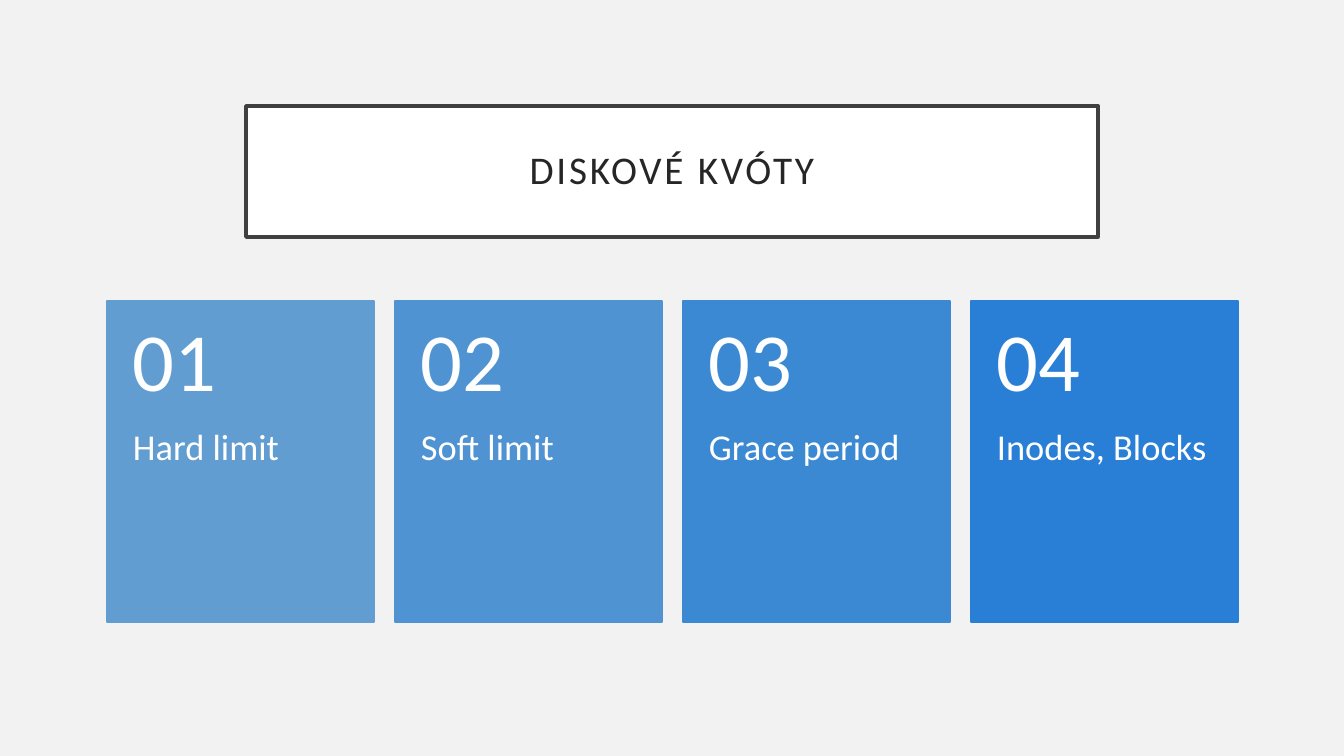
import pptx
import pptx.util
import pptx.dml.color
import pptx.enum.shapes
import pptx.enum.text

ANCHOR = pptx.enum.text.MSO_ANCHOR
ALIGN = pptx.enum.text.PP_ALIGN
COLORS = {
    "back": "F2F2F2", "white": "FFFFFF", "frame": "404040", "title": "262626",
    "hard": "629DD1", "soft": "5093D2", "grace": "3C89D3", "inodes": "297FD5",
}


def px(count):
    return pptx.util.Emu(round(count * 914400 / 100.8))


def color(name):
    return pptx.dml.color.RGBColor.from_string(COLORS[name])


class Board:
    """Draws styled boxes and text on one slide, with lengths in px."""

    def __init__(self, deck, font):
        self.font = font
        self.slide = deck.slides.add_slide(deck.slide_layouts[6])
        fill = self.slide.background.fill
        fill.solid()
        fill.fore_color.rgb = color("back")

    def box(self, area, fill, line, width):
        kind = pptx.enum.shapes.MSO_SHAPE.RECTANGLE
        shape = self.slide.shapes.add_shape(kind, *map(px, area))
        shape.shadow.inherit = False
        shape.fill.solid()
        shape.fill.fore_color.rgb = color(fill)
        shape.line.color.rgb = color(line)
        shape.line.width = pptx.util.Pt(width)
        return shape

    def label(self, area, words, size, pads, anchor):
        shape = self.slide.shapes.add_textbox(*map(px, area))
        self.letter(shape, words, size, "white", pads, anchor, ALIGN.LEFT)

    def letter(self, shape, words, size, ink, pads, anchor, align):
        frame = shape.text_frame
        sides = ("margin_left", "margin_top", "margin_right", "margin_bottom")
        style = dict(zip(sides, map(px, pads)))
        style.update(word_wrap=True, vertical_anchor=anchor)
        para = frame.paragraphs[0]
        run = para.add_run()
        run.text = words
        run.font.color.rgb = color(ink)
        formats = (
            (frame, style),
            (para, {"alignment": align, "line_spacing": 0.9}),
            (run.font, {"name": self.font, "size": pptx.util.Pt(size)}),
        )
        for target, values in formats:
            for key, value in values.items():
                setattr(target, key, value)
        return run


def main():
    deck = pptx.Presentation()
    deck.slide_width, deck.slide_height = px(1344), px(756)
    board = Board(deck, "Calibri")

    title = board.box((246, 106, 852, 131), "white", "frame", 2.5)
    run = board.letter(title, "DISKOVÉ KVÓTY", 28, "title", (20, 20, 20, 20),
                       ANCHOR.MIDDLE, ALIGN.CENTER)
    run.font._element.set("spc", "200")

    cards = (("hard", "Hard limit"), ("soft", "Soft limit"),
             ("grace", "Grace period"), ("inodes", "Inodes, Blocks"))
    top, wide, high, head = 301, 267, 321, 128
    for index, (tint, term) in enumerate(cards):
        left = 107 + index * 288
        board.box((left, top, wide, high), tint, tint, 1)
        board.label((left, top + head, wide, high - head), term, 26,
                    (26, 0, 26, 36), ANCHOR.TOP)
        board.label((left, top, wide, head), f"{index + 1:02}", 59,
                    (26, 18, 26, 18), ANCHOR.MIDDLE)

    deck.save("out.pptx")


if __name__ == "__main__":
    main()
